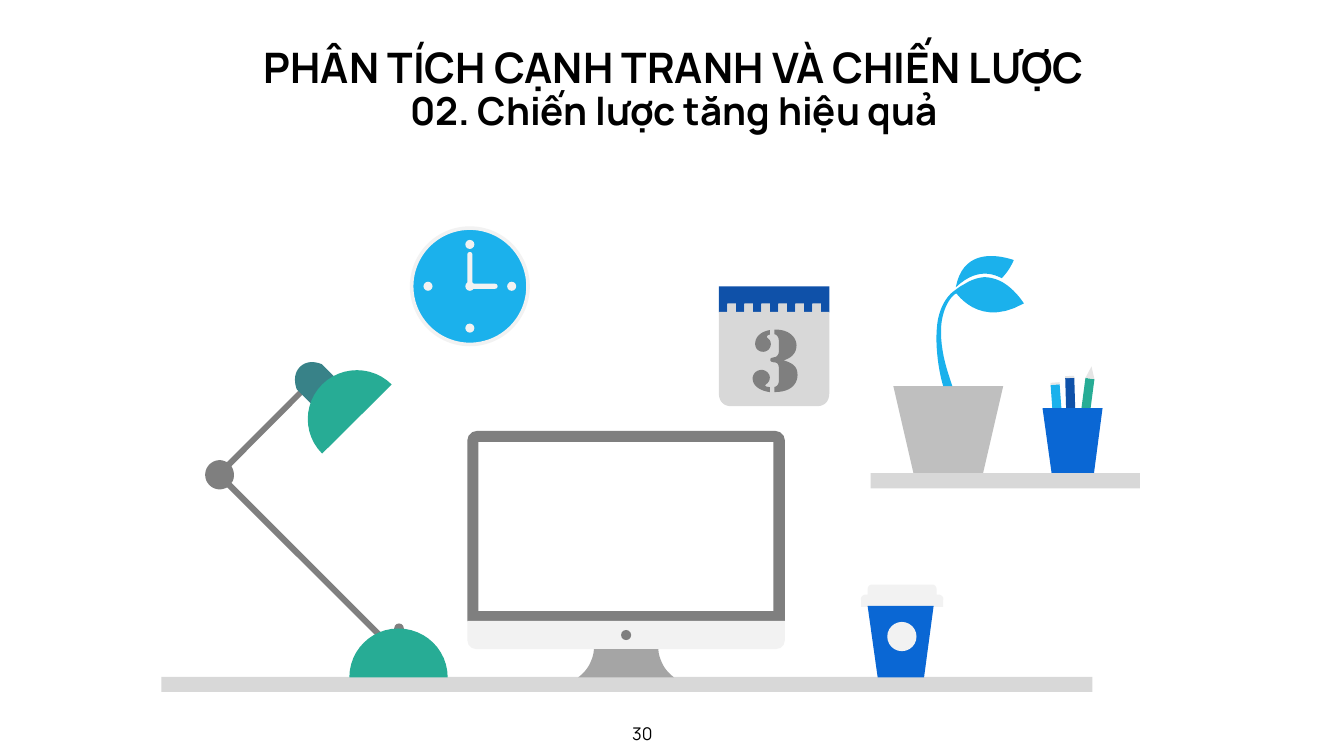
import math
import pptx
import pptx.dml.color
import pptx.enum.shapes
import pptx.enum.text
import pptx.util

SHAPE = pptx.enum.shapes.MSO_SHAPE
GREY, SILVER, PALE, CHALK = "7F7F7F", "D8D8D8", "F2F2F2", "E5E5E5"
SKY, BLUE, NAVY, GREEN = "1BB1EC", "0A67D4", "0F51A9", "27AC95"


def rgb(value):
    return pptx.dml.color.RGBColor.from_string(value)


def cm(units):
    """Layout units are 2.54 cm wide."""
    return pptx.util.Cm(units * 2.54)


def bezier(p0, p1, p2, p3, steps=12):
    for i in range(1, steps + 1):
        t = i / steps
        u = 1 - t
        yield tuple(u**3 * a + 3 * u * u * t * b + 3 * u * t * t * c + t**3 * d
                    for a, b, c, d in zip(p0, p1, p2, p3))


class Deck:
    font = "Manrope"
    ink = "000000"

    def __init__(self, width, height):
        self.prs = pptx.Presentation()
        self.prs.slide_width, self.prs.slide_height = cm(width), cm(height)
        self.s = self.prs.slides.add_slide(self.prs.slide_layouts[5])

    def paint(self, sp, color):
        sp.fill.solid()
        sp.fill.fore_color.rgb = rgb(color)
        sp.line.fill.background()
        sp.shadow.inherit = False
        return sp

    def shape(self, kind, x, y, w, h, color, *adjustments):
        sp = self.s.shapes.add_shape(kind, cm(x), cm(y), cm(w), cm(h))
        for i, value in enumerate(adjustments):
            sp.adjustments[i] = value
        return self.paint(sp, color)

    def rect(self, x, y, w, h, color):
        return self.shape(SHAPE.RECTANGLE, x, y, w, h, color)

    def disc(self, cx, cy, radius, color):
        return self.shape(SHAPE.OVAL, cx - radius, cy - radius,
                          2 * radius, 2 * radius, color)

    def polygon(self, color, *contours):
        fb = None
        for points in contours:
            points = [(cm(x), cm(y)) for x, y in points]
            if fb is None:
                fb = self.s.shapes.build_freeform(*points[0], scale=1.0)
            else:
                fb.move_to(*points[0])
            fb.add_line_segments(points[1:], close=True)
        return self.paint(fb.convert_to_shape(), color)

    def outline(self, color, *contours):
        """Each contour is 'x y' points, with C before each set of curve points."""
        result = []
        for text in contours:
            tokens = text.split()
            points, i = [], 0
            while i < len(tokens):
                curved = tokens[i] == "C"
                i += curved
                n = 6 if curved else 2
                nums = [float(v) for v in tokens[i:i + n]]
                pairs = list(zip(nums[::2], nums[1::2]))
                points += bezier(points[-1], *pairs) if curved else pairs
                i += n
            result.append(points)
        return self.polygon(color, *result)

    def text(self, sp, box, lines, bold=False, spacing=1.0):
        sp.left, sp.top, sp.width, sp.height = (cm(v) for v in box)
        tf = sp.text_frame
        tf.word_wrap = False
        tf.auto_size = pptx.enum.text.MSO_AUTO_SIZE.NONE
        tf.vertical_anchor = pptx.enum.text.MSO_ANCHOR.MIDDLE
        p = tf.paragraphs[0]
        p.alignment = pptx.enum.text.PP_ALIGN.CENTER
        p.line_spacing = spacing
        for i, (words, size) in enumerate(lines):
            if i:
                p.add_line_break()
            r = p.add_run()
            r.text = words
            r.font.name, r.font.size = self.font, pptx.util.Pt(size)
            r.font.bold, r.font.color.rgb = bold, rgb(self.ink)

    def pen(self, cap, point, color):
        """A pen drawn along the axis from its cap end to its writing end."""
        (x0, y0), (x1, y1) = cap, point
        length = math.hypot(x1 - x0, y1 - y0)
        dx, dy = (x1 - x0) / length, (y1 - y0) / length

        def at(along, side):
            return x0 + dx * along - dy * side, y0 + dy * along + dx * side

        half = 0.09
        for start, end, fill in ((0, length, color), (-0.04, 0, CHALK)):
            self.polygon(fill, [at(start, -half), at(start, half),
                                at(end, half), at(end, -half)])
        self.polygon(CHALK, [at(length, -half), at(length, half),
                             at(length + 0.24, 0)])


def clock(deck, cx, cy):
    deck.disc(cx, cy, 1.13, SKY)
    deck.shape(SHAPE.DONUT, cx - 1.19, cy - 1.19, 2.38, 2.38, PALE, 0.03)
    for dx, dy in ((0, -1), (1, 0), (0, 1), (-1, 0), (0, 0)):
        deck.disc(cx + 0.83 * dx, cy + 0.83 * dy, 0.09, PALE)
    deck.shape(SHAPE.ROUNDED_RECTANGLE, cx - 0.05, cy - 0.68, 0.1, 0.7, PALE, 0.5)
    deck.shape(SHAPE.ROUNDED_RECTANGLE, cx, cy - 0.05, 0.55, 0.1, PALE, 0.5)


def computer(deck):
    deck.shape(SHAPE.ROUND_2_SAME_RECTANGLE, 9.27, 8.55, 6.3, 3.78, GREY, 0.05, 0)
    deck.shape(SHAPE.ROUND_2_SAME_RECTANGLE, 9.27, 12.32, 6.3, 0.56, PALE, 0, 0.32)
    deck.disc(12.42, 12.6, 0.1, GREY)
    deck.rect(9.49, 8.77, 5.85, 3.35, "FFFFFF")
    deck.outline("A5A5A5", "11.78 12.88 C 11.78 12.92 11.77 13.01 11.73 13.1 "
                 "C 11.68 13.24 11.59 13.35 11.47 13.44 13.37 13.44 "
                 "C 13.25 13.35 13.16 13.24 13.11 13.1 "
                 "C 13.07 13.01 13.06 12.92 13.06 12.88")


def cup(deck):
    deck.outline(PALE, "18.71 12.04 18.71 11.9 C 18.71 11.9 18.73 11.83 18.64 11.8 "
                 "18.58 11.8 18.58 11.7 C 18.58 11.7 18.58 11.6 18.49 11.6 "
                 "17.3 11.6 C 17.21 11.6 17.21 11.7 17.21 11.7 17.21 11.8 "
                 "17.15 11.8 C 17.06 11.83 17.08 11.9 17.08 11.9 17.08 12.04")
    deck.outline(BLUE, "17.21 12.02 17.41 13.44 18.33 13.44 18.52 12.02")
    deck.disc(17.89, 12.63, 0.29, PALE)


def lamp(deck):
    deck.outline(GREY, "7.68 12.67 4.59 9.58 C 4.63 9.54 4.64 9.48 4.64 9.42 "
                 "C 4.64 9.36 4.62 9.3 4.59 9.25 6.31 7.52 6.23 7.44 4.5 9.17 "
                 "C 4.46 9.15 4.41 9.13 4.36 9.13 C 4.2 9.13 4.07 9.26 4.07 9.42 "
                 "C 4.07 9.58 4.2 9.71 4.36 9.71 C 4.41 9.71 4.46 9.69 4.51 9.67 "
                 "7.59 12.75")
    deck.shape(SHAPE.ROUNDED_RECTANGLE, 7.82, 12.37, 0.19, 0.41, GREY, 0.5)
    deck.outline(GREEN, "7.9 12.47 C 8.44 12.47 8.88 12.9 8.88 13.44 "
                 "6.93 13.44 C 6.93 12.9 7.37 12.47 7.9 12.47")
    deck.outline("388288", "6.76 7.6 6.26 8.1 5.89 7.73 C 5.89 7.73 5.77 7.46 5.95 7.28 "
                 "C 6.13 7.1 6.39 7.23 6.39 7.23")
    deck.outline(GREEN, "6.39 7.63 C 6.77 7.25 7.39 7.25 7.77 7.63 6.39 9 "
                 "C 6.01 8.62 6.01 8.01 6.39 7.63")


def calendar(deck):
    left, width, count = 14.26, 2.19, 13

    def teeth(high, low):
        step = width / count
        return [(left + (i + k) * step, high if i % 2 else low)
                for i in range(count) for k in (0, 1)]

    right = left + width
    deck.polygon(NAVY, teeth(6.03, 6.2) + [(right, 5.68), (left, 5.68)])
    corners = [*bezier((right, 7.8), (right, 7.96), (16.36, 8.06), (16.2, 8.06)),
               (14.51, 8.06),
               *bezier((14.51, 8.06), (14.35, 8.06), (left, 7.96), (left, 7.8))]
    deck.polygon(SILVER, teeth(6.02, 6.19) + [(right, 7.8)] + corners)
    # Stencil numeral 3
    deck.outline(
        GREY,
        "15.27 7.49 C 15.27 7.6 15.18 7.62 15.18 7.65 C 15.18 7.67 15.24 7.68 15.27 7.68 "
        "15.27 7.78 C 15.12 7.76 14.93 7.68 14.93 7.51 C 14.93 7.41 15.01 7.34 15.11 7.34 "
        "C 15.19 7.34 15.27 7.41 15.27 7.49",
        "15.29 6.83 C 15.29 6.91 15.22 6.98 15.14 6.98 C 15.04 6.98 14.98 6.91 14.98 6.82 "
        "C 14.98 6.66 15.13 6.57 15.27 6.55 15.27 6.64 C 15.25 6.64 15.21 6.66 15.21 6.68 "
        "C 15.21 6.72 15.29 6.72 15.29 6.83",
        "15.54 7.15 C 15.72 7.2 15.82 7.27 15.82 7.44 C 15.82 7.58 15.73 7.78 15.36 7.78 "
        "15.36 7.68 C 15.43 7.66 15.45 7.61 15.45 7.54 15.45 7.33 "
        "C 15.45 7.25 15.44 7.19 15.35 7.19 C 15.32 7.18 15.28 7.18 15.28 7.14 "
        "C 15.28 7.1 15.31 7.1 15.35 7.09 C 15.45 7.08 15.45 6.98 15.45 6.96 "
        "15.45 6.78 C 15.45 6.71 15.43 6.65 15.36 6.63 15.36 6.54 "
        "C 15.68 6.53 15.8 6.72 15.8 6.85 C 15.8 7.01 15.69 7.11 15.54 7.15")


def shelf(deck):
    # Plant
    deck.outline("BFBFBF", "17.72 7.66 19.9 7.66 19.5 9.39 18.12 9.39")
    deck.outline(
        SKY,
        "19.7 5.08 C 19.41 5.07 19.06 5.17 18.96 5.7 C 19.32 5.36 19.63 5.39 19.87 5.52 "
        "C 19.96 5.43 20.04 5.32 20.11 5.16 C 20.11 5.16 19.92 5.09 19.7 5.08",
        "19.52 5.5 C 19.4 5.51 19.26 5.55 19.11 5.65 C 19.08 5.66 19.02 5.7 18.89 5.8 "
        "C 18.75 5.92 18.62 6.15 18.59 6.45 C 18.54 6.87 18.63 7.41 18.71 7.66 "
        "18.89 7.66 C 18.82 7.43 18.64 6.99 18.67 6.47 C 18.69 6.18 18.82 5.9 18.97 5.82 "
        "C 19.09 5.97 19.53 6.46 20.31 6.02 C 20.31 6.02 20.14 5.74 19.87 5.59 "
        "C 19.77 5.54 19.65 5.5 19.52 5.5")
    # Pens in their holder
    deck.pen((21.22, 7.5), (21.26, 8.88), NAVY)
    deck.pen((20.93, 7.63), (21.03, 9), SKY)
    deck.pen((21.44, 8.88), (21.62, 7.51), GREEN)
    deck.outline(BLUE, "20.68 8.1 20.86 9.39 21.7 9.39 21.87 8.1")
    deck.rect(17.27, 9.39, 5.34, 0.3, SILVER)


def main():
    deck = Deck(26.66, 15)

    # Title and page number
    deck.text(deck.s.shapes.title, (4.54, 0.77, 17.66, 2.04),
              [("PHÂN TÍCH CẠNH TRANH VÀ CHIẾN LƯỢC", 60),
               ("02. Chiến lược tăng hiệu quả", 55)], bold=True, spacing=0.9)
    box = (11.95, 14.29, 1.58, 0.52)
    deck.text(deck.s.shapes.add_textbox(*(cm(v) for v in box)), box, [("30", 25)])

    # Desk scene
    clock(deck, 9.32, 5.68)
    deck.rect(3.2, 13.43, 18.47, 0.3, SILVER)
    for draw in (computer, cup, lamp, calendar, shelf):
        draw(deck)

    deck.prs.save("out.pptx")


if __name__ == "__main__":
    main()
